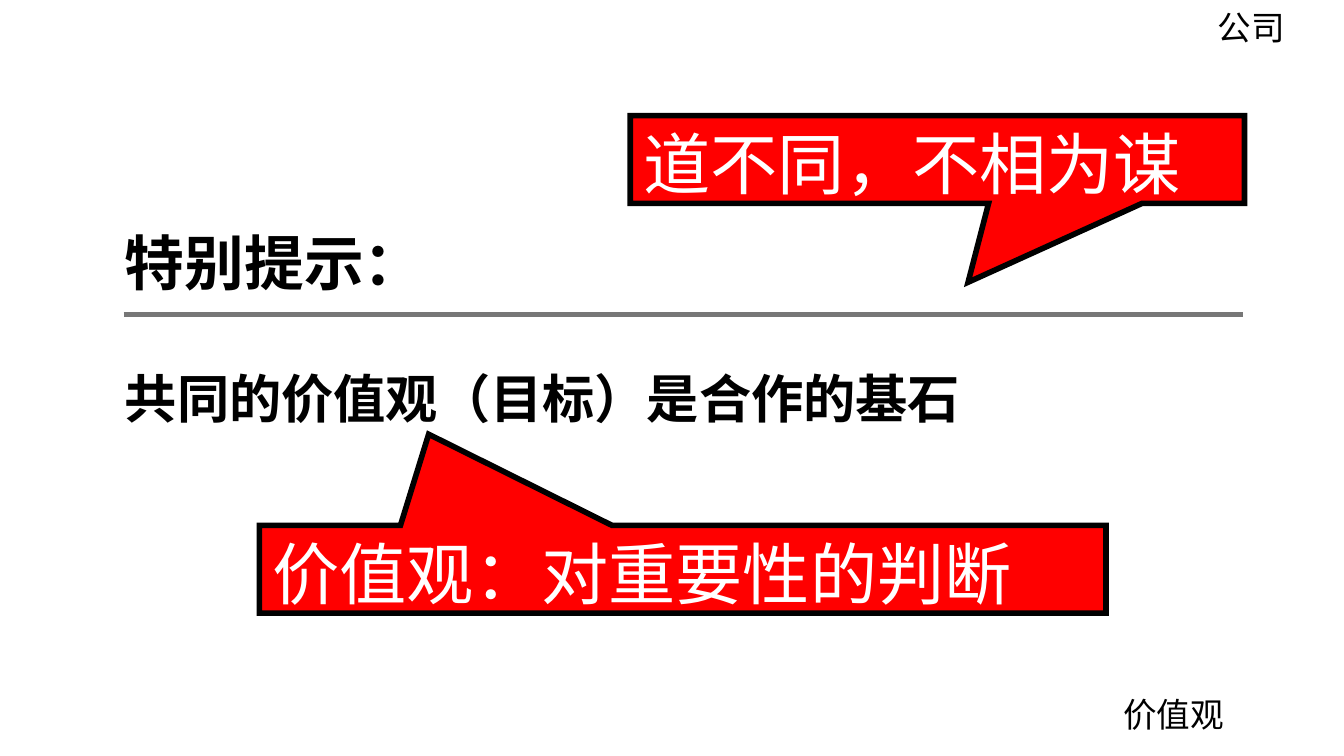
from dataclasses import dataclass

from lxml.etree import SubElement
from pptx import Presentation
from pptx.dml.color import RGBColor
from pptx.enum.shapes import MSO_CONNECTOR, MSO_SHAPE
from pptx.enum.text import MSO_ANCHOR, MSO_AUTO_SIZE, PP_ALIGN
from pptx.oxml.ns import qn
from pptx.util import Inches, Pt


@dataclass(frozen=True)
class Theme:
    """Colours, fonts and type sizes of the slide."""
    ink: RGBColor = RGBColor(0, 0, 0)
    paper: RGBColor = RGBColor(255, 255, 255)
    accent: RGBColor = RGBColor(255, 0, 0)
    rule: RGBColor = RGBColor(0x77, 0x77, 0x77)
    text_font: str = "Noto Sans CJK SC"
    callout_font: str = "Calibri"
    heading: int = 32
    statement: int = 28
    callout: int = 36
    label: int = 18
    stroke: int = 3
    indent: float = 0.5
    leading: float = 2.1


THEME = Theme()
WIDTH = Inches(10)
HEIGHT = WIDTH * 9 // 16


def area(left, top, width, height):
    """Turn shares of the slide's size into lengths."""
    return (int(WIDTH * left), int(HEIGHT * top),
            int(WIDTH * width), int(HEIGHT * height))


def style_span(span, size, font, color, bold=False):
    """Give a run its type, with the same face for East Asian letters."""
    span.font.size = Pt(size)
    span.font.name = font
    span.font.bold = bold
    span.font.color.rgb = color
    SubElement(span.font._element, qn("a:ea")).set("typeface", font)


def style_indented(para, size, leading, bold=False):
    """Format a bullet-free paragraph set in from the left."""
    properties = para._p.get_or_add_pPr()
    properties.set("marL", str(Inches(THEME.indent)))
    properties.set("indent", "0")
    SubElement(properties, qn("a:buNone"))
    para.alignment = PP_ALIGN.LEFT
    para.line_spacing = leading
    para.space_before = Pt(0)
    style_span(para.runs[0], size, THEME.text_font, THEME.ink, bold)


def fill_body(page, place, lines):
    """Move the body placeholder and write sized lines into it."""
    body = page.placeholders[1]
    body.left, body.top, body.width, body.height = place
    frame = body.text_frame
    frame.text = "\n".join(text for text, _ in lines)
    frame.vertical_anchor = MSO_ANCHOR.TOP
    frame.auto_size = MSO_AUTO_SIZE.NONE
    for para, (_, size) in zip(frame.paragraphs, lines):
        style_indented(para, size, THEME.leading, bold=True)


def add_label(page, place, text, leading):
    """Add a small indented text box."""
    frame = page.shapes.add_textbox(*place).text_frame
    frame.word_wrap = True
    frame.text = text
    style_indented(frame.paragraphs[0], THEME.label, leading)


def add_rule(page, left, right, height):
    """Draw a horizontal line across the slide."""
    x, y, length, _ = area(left, height, right - left, 0)
    rule = page.shapes.add_connector(
        MSO_CONNECTOR.STRAIGHT, x, y, x + length, y)
    rule.line.color.rgb = THEME.rule
    rule.line.width = Pt(THEME.stroke)
    SubElement(rule._element.spPr, qn("a:effectLst"))


def add_callout(page, place, text, tip):
    """Add a sharp-cornered speech box, its tip in shares of its size."""
    box = page.shapes.add_shape(MSO_SHAPE.RECTANGULAR_CALLOUT, *place)
    box.adjustments[0], box.adjustments[1] = tip
    box.shadow.inherit = False
    box.fill.solid()
    box.fill.fore_color.rgb = THEME.accent
    box.line.color.rgb = THEME.ink
    box.line.width = Pt(THEME.stroke)
    outline = box._element.spPr.find(qn("a:ln"))
    SubElement(outline, qn("a:miter")).set("lim", "800000")
    frame = box.text_frame
    frame.text = text
    frame.vertical_anchor = MSO_ANCHOR.TOP
    para = frame.paragraphs[0]
    para.alignment = PP_ALIGN.LEFT
    style_span(para.runs[0], THEME.callout, THEME.callout_font, THEME.paper)


def main():
    """Build the slide and save it."""
    deck = Presentation()
    deck.slide_width, deck.slide_height = WIDTH, HEIGHT
    page = deck.slides.add_slide(deck.slide_layouts[1])
    title = page.shapes.title._element
    title.getparent().remove(title)

    fill_body(page, area(0.033, 0.185, 0.931, 0.395), [
        ("特别提示：", THEME.heading),
        ("共同的价值观（目标）是合作的基石", THEME.statement),
    ])
    add_rule(page, 0.092, 0.925, 0.416)
    add_callout(page, area(0.193, 0.695, 0.63, 0.116),
                "价值观：对重要性的判断", (-0.3, -1.54))
    add_callout(page, area(0.469, 0.153, 0.457, 0.116),
                "道不同，不相为谋", (0.05, 1.4))
    add_label(page, area(0.776, 0.85, 0.177, 0.132), "价值观", THEME.leading)
    add_label(page, area(0.846, 0, 0.151, 0.071), "公司", 1)
    deck.save("out.pptx")


if __name__ == "__main__":
    main()
